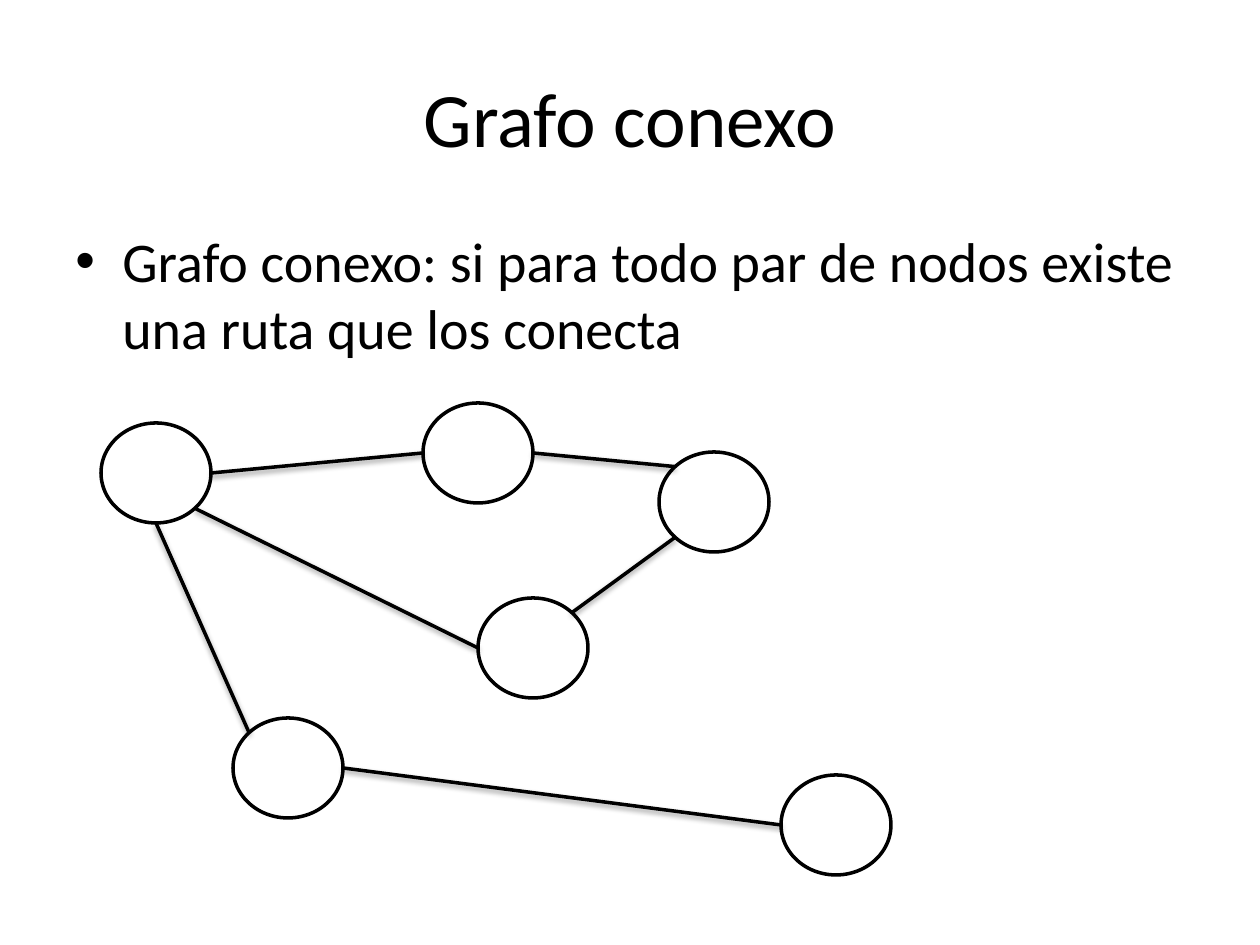
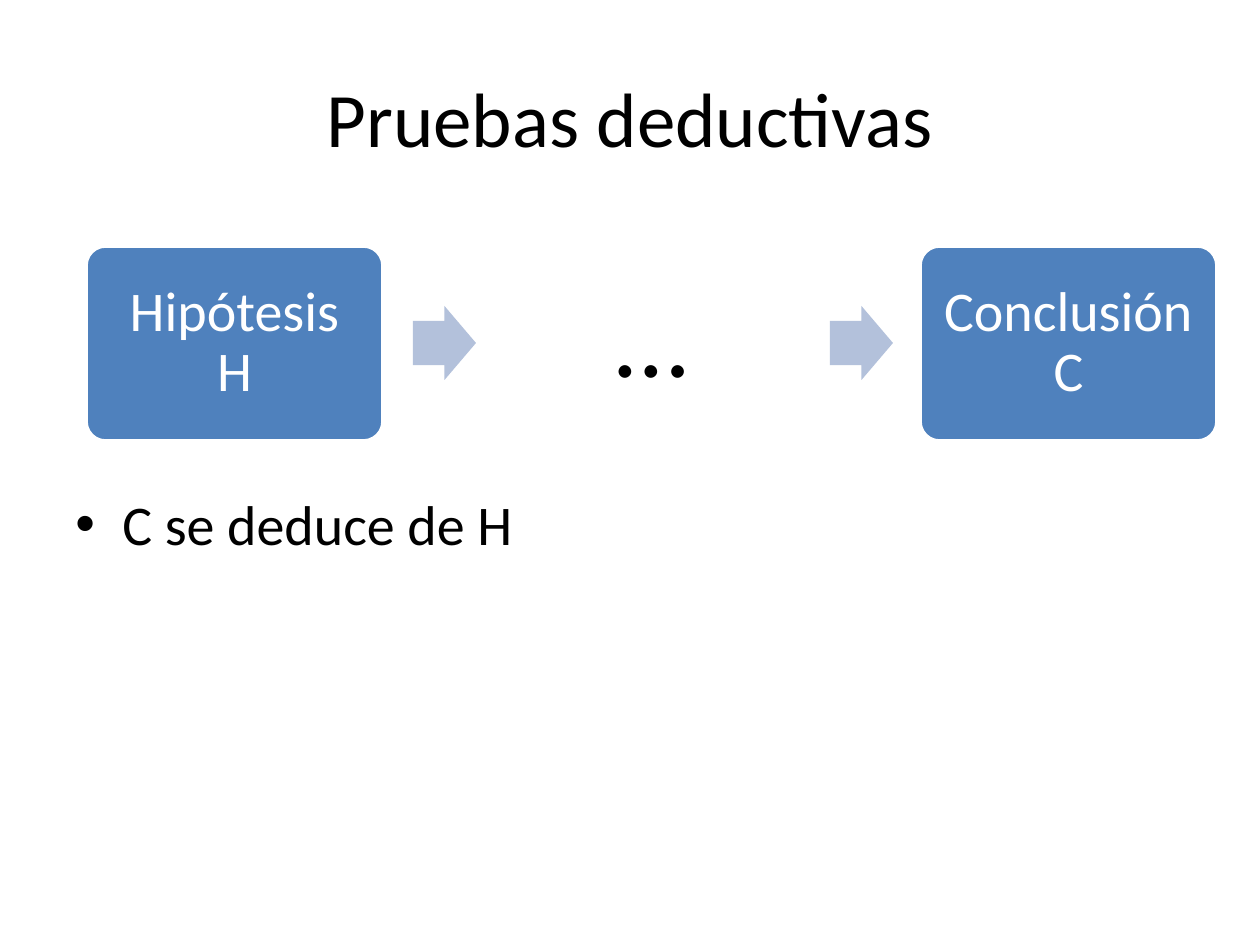
import math

from lxml import etree
from pptx import Presentation
from pptx import util as u
from pptx.dml.color import RGBColor
from pptx.enum import shapes, text
from pptx.oxml import parse_xml
from pptx.oxml.ns import qn

PX_PER_INCH = 126
BLACK = RGBColor(0x00, 0x00, 0x00)
WHITE = RGBColor(0xFF, 0xFF, 0xFF)
BLUE = RGBColor(0x4F, 0x81, 0xBD)
PALE_BLUE = RGBColor(0xB3, 0xC1, 0xDB)
FONT = "Calibri"

TITLE_BOX = (63, 38, 1134, 157)
INDENT = 47
NODE_W, NODE_H = 110, 100

# Connection sites of an ellipse, counted anticlockwise from the top
TOP_LEFT, LEFT, BOTTOM_LEFT, BOTTOM, BOTTOM_RIGHT, RIGHT, TOP_RIGHT = range(1, 8)

SHADOW = """<a:effectLst xmlns:a="http://schemas.openxmlformats.org/drawingml/2006/main">
  <a:outerShdw blurRad="40000" dist="20000" dir="5400000" rotWithShape="0">
    <a:srgbClr val="000000"><a:alpha val="38000"/></a:srgbClr>
  </a:outerShdw>
</a:effectLst>"""


def px(n):
    return u.Emu(round(n * 914400 / PX_PER_INCH))


def add_run(p, words, size, color):
    r = p.add_run()
    r.text = words
    r.font.name = FONT
    r.font.size = u.Pt(size)
    r.font.color.rgb = color


def add_text_box(s, box):
    """Add a wrapping text box and return its text frame."""
    tf = s.shapes.add_textbox(*map(px, box)).text_frame
    tf.word_wrap = True
    return tf


def add_title(s, words):
    tf = add_text_box(s, TITLE_BOX)
    tf.vertical_anchor = text.MSO_ANCHOR.MIDDLE
    p = tf.paragraphs[0]
    p.alignment = text.PP_ALIGN.CENTER
    add_run(p, words, 44, BLACK)


def add_bullet(s, box, words):
    p = add_text_box(s, box).paragraphs[0]
    p.space_before = u.Pt(6.4)
    pPr = p._p.get_or_add_pPr()
    pPr.set("marL", str(px(INDENT)))
    pPr.set("indent", str(-px(INDENT)))
    etree.SubElement(pPr, qn("a:buFont"), typeface="Arial")
    etree.SubElement(pPr, qn("a:buChar"), char="•")
    add_run(p, words, 32, BLACK)


def add_shape(s, kind, box, fill, line=None):
    sp = s.shapes.add_shape(kind, *map(px, box))
    sp.shadow.inherit = False
    sp.fill.solid()
    sp.fill.fore_color.rgb = fill
    if line is None:
        sp.line.fill.background()
    else:
        sp.line.color.rgb = line
        sp.line.width = u.Pt(2)
    return sp


def site_point(node, site):
    """Position of a connection site on the rim of a node."""
    angle = math.radians(45 * site)
    x = node.left + node.width / 2 * (1 - math.sin(angle))
    y = node.top + node.height / 2 * (1 - math.cos(angle))
    return u.Emu(round(x)), u.Emu(round(y))


def add_edge(s, start, start_site, end, end_site):
    c = s.shapes.add_connector(shapes.MSO_CONNECTOR.STRAIGHT,
                               *site_point(start, start_site), *site_point(end, end_site))
    c.line.color.rgb = BLACK
    c.line.width = u.Pt(2)
    c._element.spPr.append(parse_xml(SHADOW))
    joints = c._element.find(".//" + qn("p:cNvCxnSpPr"))
    for tag, node, site in (("a:stCxn", start, start_site), ("a:endCxn", end, end_site)):
        etree.SubElement(joints, qn(tag), id=str(node.shape_id), idx=str(site))


def add_graph(s, left, top):
    places = {"A": (0, 20), "B": (322, 0), "C": (558, 49),
              "D": (132, 315), "E": (377, 195), "F": (680, 372)}
    edges = [("A", RIGHT, "B", LEFT), ("A", BOTTOM, "D", TOP_LEFT),
             ("B", RIGHT, "C", TOP_LEFT), ("D", RIGHT, "F", LEFT),
             ("C", BOTTOM_LEFT, "E", TOP_RIGHT), ("A", BOTTOM_RIGHT, "E", LEFT)]
    nodes = {name: add_shape(s, shapes.MSO_SHAPE.OVAL,
                             (left + x, top + y, NODE_W, NODE_H), WHITE, BLACK)
             for name, (x, y) in places.items()}
    for start, start_site, end, end_site in edges:
        add_edge(s, nodes[start], start_site, nodes[end], end_site)


def add_step(s, box, words, size, color, fill, inset):
    sp = add_shape(s, shapes.MSO_SHAPE.ROUNDED_RECTANGLE, box, fill, WHITE)
    sp.adjustments[0] = 0.1
    tf = sp.text_frame
    tf.word_wrap = True
    tf.vertical_anchor = text.MSO_ANCHOR.MIDDLE
    tf.margin_left = tf.margin_right = tf.margin_top = tf.margin_bottom = px(inset)
    p = tf.paragraphs[0]
    p.alignment = text.PP_ALIGN.CENTER
    p.line_spacing = 0.9
    add_run(p, words, size, color)


def add_deduction(s, left, top, width, height):
    """Row of three steps with an arrow in each gap."""
    step_w, arrow_w, arrow_h = 297, 63, 74
    steps = [("Hipótesis H", 32, WHITE, BLUE, 16),
             ("…", 60, BLACK, WHITE, 32),
             ("Conclusión C", 32, WHITE, BLUE, 16)]
    pitch = (width - step_w) // (len(steps) - 1)
    for i, step in enumerate(steps):
        x = left + i * pitch
        add_step(s, (x, top, step_w, height), *step)
        if i < len(steps) - 1:
            arrow = add_shape(s, shapes.MSO_SHAPE.RIGHT_ARROW,
                              (x + step_w + 30, top + (height - arrow_h) // 2,
                               arrow_w, arrow_h), PALE_BLUE)
            arrow.adjustments[0] = 0.6
            arrow.adjustments[1] = 0.5


def add_slide(prs, title):
    s = prs.slides.add_slide(prs.slide_layouts[6])
    add_title(s, title)
    return s


def connected_graph_slide(prs):
    s = add_slide(prs, "Grafo conexo")
    add_bullet(s, (63, 220, 1134, 624),
               "Grafo conexo: si para todo par de nodos existe una ruta que los conecta")
    add_graph(s, 101, 403)


def deductive_proofs_slide(prs):
    s = add_slide(prs, "Pruebas deductivas")
    add_bullet(s, (63, 483, 1134, 361), "C se deduce de H")
    add_deduction(s, 86, 246, 1131, 195)


def main():
    prs = Presentation()
    prs.slide_width, prs.slide_height = u.Inches(10), u.Inches(7.5)
    connected_graph_slide(prs)
    deductive_proofs_slide(prs)
    prs.save("out.pptx")


if __name__ == "__main__":
    main()
